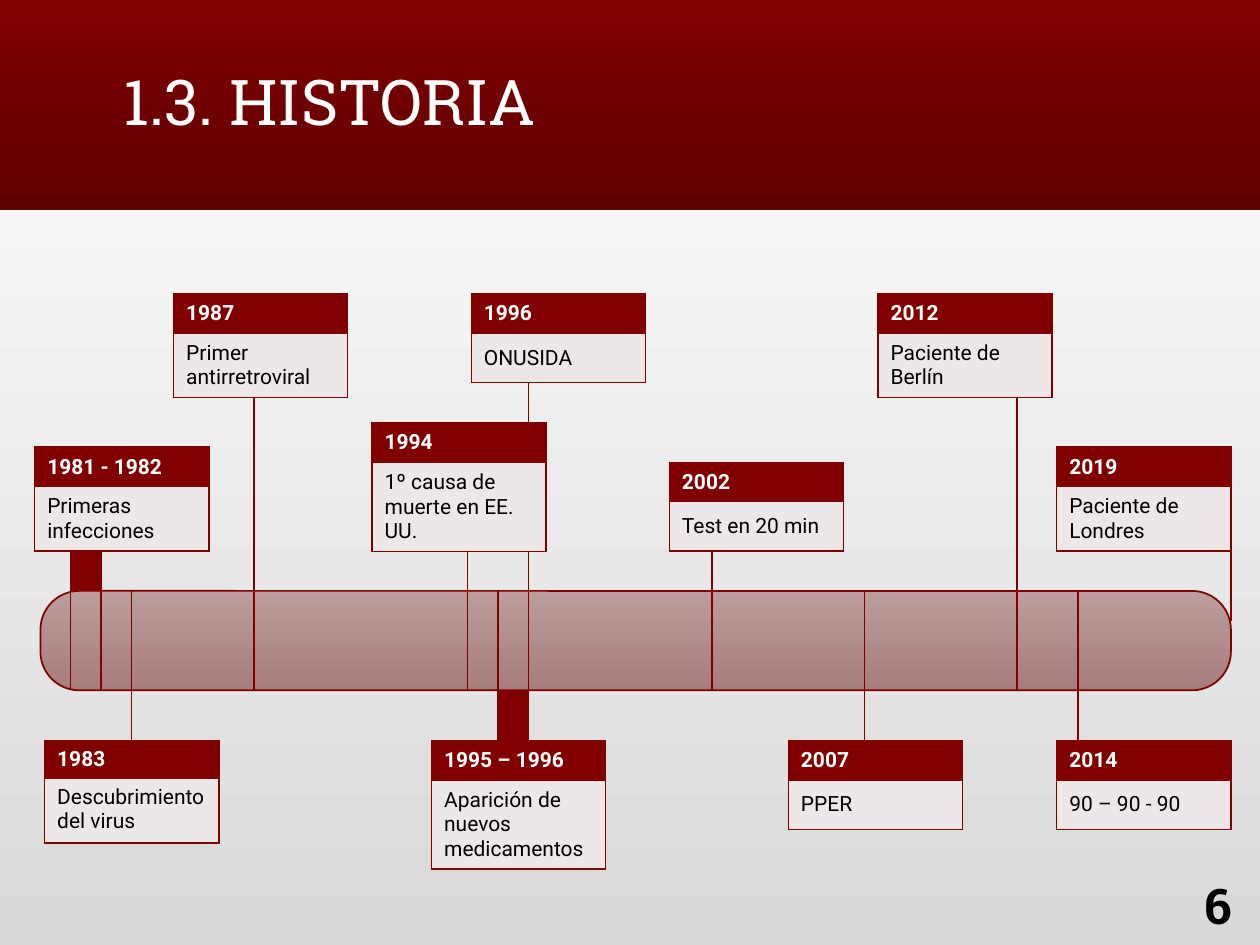
from lxml import etree
from pptx import Presentation
from pptx.dml.color import RGBColor
from pptx.enum.shapes import MSO_CONNECTOR, MSO_SHAPE
from pptx.enum.text import MSO_ANCHOR, MSO_AUTO_SIZE, PP_ALIGN
from pptx.oxml.ns import qn
from pptx.util import Pt

RECTANGLE, ROUNDED = MSO_SHAPE.RECTANGLE, MSO_SHAPE.ROUNDED_RECTANGLE
STRAIGHT = MSO_CONNECTOR.STRAIGHT
TOP, MIDDLE = MSO_ANCHOR.TOP, MSO_ANCHOR.MIDDLE
LEFT, CENTER = PP_ALIGN.LEFT, PP_ALIGN.CENTER
NO_AUTOSIZE = MSO_AUTO_SIZE.NONE

COLORS = {
    "maroon": "800000", "deep": "600000", "card": "EDE7E7",
    "bar_top": "BD9D9D", "bar_bottom": "A77C7C",
    "white": "FFFFFF", "black": "000000", "grey": "D9D9D9",
}
TITLE_FONT = {"name": "Roboto Slab", "size": Pt(36), "bold": False}
NUMBER_FONT = {"name": "Roboto Slab", "size": Pt(28), "bold": True}
YEAR_FONT = {"name": "Roboto", "size": Pt(12), "bold": True}
EVENT_FONT = {"name": "Roboto", "size": Pt(12), "bold": False}

FIRST_YEAR, FIRST_X, YEAR_STEP = 1981, 40.3, 17.45
BAR = (23.1, 337.7, 680.3, 56.8)
BAR_TOP, BAR_BOTTOM = BAR[1], BAR[1] + BAR[3]
CARD_WIDTH, HEAD = 99.5, 22.5
LOW_Y, LOW_END = 423.2, 451.4
ONE_LINE, TWO_LINES, THREE_LINES = 28.3, 36.9, 51

PERIODS = [(1981, 315.4), (1995, 383)]
TICKS = [
    (1996, 190.8, LOW_END), (2012, 218.9, BAR_BOTTOM), (2019, 270, 355),
    (1982, 281.5, BAR_BOTTOM), (1994, 281.5, BAR_BOTTOM),
    (2002, 281.5, BAR_BOTTOM), (2014, BAR_TOP, LOW_END),
    (1981, 281.5, BAR_BOTTOM), (1983, BAR_TOP, LOW_END),
    (1987, 207.4, BAR_BOTTOM), (1995, BAR_TOP, LOW_END),
    (2007, BAR_TOP, LOW_END),
]
CARDS = [
    ("1981 - 1982", "Primeras infecciones", 19.8, 255.5, HEAD, TWO_LINES, MIDDLE),
    ("1983", "Descubrimiento del virus", 25.5, LOW_Y, 20.4, TWO_LINES, TOP),
    ("2019", "Paciente de Londres", 603.8, 255.5, HEAD, TWO_LINES, MIDDLE),
    ("1987", "Primer antirretroviral", 99.2, 167.8, HEAD, TWO_LINES, MIDDLE),
    ("1994", "1º causa de muerte en EE. UU.", 212.6, 241.6, HEAD, THREE_LINES, MIDDLE),
    ("1995 – 1996", "Aparición de nuevos medicamentos", 246.6, LOW_Y, HEAD, THREE_LINES, MIDDLE),
    ("1996", "ONUSIDA", 269.3, 167.8, HEAD, ONE_LINE, MIDDLE),
    ("2002", "Test en 20 min", 382.5, 264.2, HEAD, ONE_LINE, MIDDLE),
    ("2007", "PPER", 450.5, LOW_Y, HEAD, ONE_LINE, MIDDLE),
    ("2012", "Paciente de Berlín", 501.7, 167.8, HEAD, TWO_LINES, MIDDLE),
    ("2014", "90 – 90 - 90", 603.8, LOW_Y, HEAD, ONE_LINE, MIDDLE),
]


def rgb(name):
    """Return the named colour."""
    return RGBColor.from_string(COLORS[name])


def points(box):
    """Turn a box of plain numbers into lengths."""
    return [Pt(value) for value in box]


def year_x(year):
    """Return the horizontal place of a year on the time scale."""
    return FIRST_X + (year - FIRST_YEAR) * YEAR_STEP


def fill_gradient(fill, names, angle):
    """Fill with a linear gradient between two colours."""
    fill.gradient()
    fill.gradient_angle = angle
    for stop, name in zip(fill.gradient_stops, names):
        stop.color.rgb = rgb(name)


def write(frame, text, font, color, align=LEFT):
    """Put one formatted line of text in a frame and return its paragraph."""
    para = frame.paragraphs[0]
    para.alignment = align
    span = para.add_run()
    span.text = text
    for key, value in font.items():
        setattr(span.font, key, value)
    span.font.color.rgb = rgb(color)
    return para


def add_plain_shape(page, kind, box):
    """Add a shape with neither shadow nor outline."""
    shape = page.shapes.add_shape(kind, *points(box))
    shape.shadow.inherit = False
    shape.line.fill.background()
    return shape


def add_header(page, box, text):
    """Draw the top band and set the title on it."""
    left, top, width, height = box
    band = add_plain_shape(page, RECTANGLE, box)
    fill_gradient(band.fill, ("maroon", "deep"), 270)
    title = page.shapes.title
    band._element.addnext(title._element)
    title.left, title.top, title.width, title.height = points(
        (left + 63.4, top + 7.9, width - 126, height - 15.8))
    frame = title.text_frame
    frame.auto_size = NO_AUTOSIZE
    frame.vertical_anchor = MIDDLE
    write(frame, text, TITLE_FONT, "white").line_spacing = 0.9


def add_page_number(page, box, text):
    """Write the page number."""
    frame = page.shapes.add_textbox(*points(box)).text_frame
    frame.word_wrap = True
    write(frame, text, NUMBER_FONT, "black", CENTER)


def add_tick(page, year, top, bottom):
    """Draw the vertical line that marks a year."""
    x = year_x(year)
    tick = page.shapes.add_connector(STRAIGHT, *points((x, top, x, bottom)))
    tick.line.color.rgb = rgb("maroon")
    tick.line.width = Pt(1)
    etree.SubElement(tick._element.spPr, qn("a:effectLst"))


def add_timeline(page, box):
    """Draw the periods, the bar and the year marks."""
    for year, top in PERIODS:
        period = add_plain_shape(page, RECTANGLE, (year_x(year), top, YEAR_STEP, 51))
        period.fill.solid()
        period.fill.fore_color.rgb = rgb("maroon")
    bar = add_plain_shape(page, ROUNDED, box)
    bar.adjustments[0] = 0.39
    fill_gradient(bar.fill, ("bar_top", "bar_bottom"), 270)
    bar.line.color.rgb = rgb("maroon")
    bar.line.width = Pt(1)
    for tick in TICKS:
        add_tick(page, *tick)


def add_borders(cell):
    """Line all four sides of a table cell."""
    properties = cell._tc.get_or_add_tcPr()
    for side in ("lnL", "lnR", "lnT", "lnB"):
        line = etree.SubElement(properties, qn("a:" + side), w=str(Pt(1)))
        solid = etree.SubElement(line, qn("a:solidFill"))
        etree.SubElement(solid, qn("a:srgbClr"), val=COLORS["maroon"])


def add_card(page, year, event, left, top, head, body, anchor):
    """Add a two-row table with a year above its event."""
    box = points((left, top, CARD_WIDTH, head + body))
    table = page.shapes.add_table(2, 1, *box).table
    table.first_row = table.horz_banding = False
    rows = [
        (year, head, YEAR_FONT, "white", "maroon"),
        (event, body, EVENT_FONT, "black", "card"),
    ]
    for index, (text, height, font, color, back) in enumerate(rows):
        table.rows[index].height = Pt(height)
        cell = table.cell(index, 0)
        add_borders(cell)
        cell.fill.solid()
        cell.fill.fore_color.rgb = rgb(back)
        cell.vertical_anchor = anchor
        write(cell.text_frame, text, font, color)


def main():
    """Build the history slide and save it."""
    deck = Presentation()
    deck.slide_width, deck.slide_height = Pt(720), Pt(540)
    page = deck.slides.add_slide(deck.slide_layouts[5])
    fill_gradient(page.background.fill, ("grey", "white"), 90)
    add_header(page, (0, 0, 720, 120), "1.3. HISTORIA")
    add_page_number(page, (671.8, 496.8, 48.2, 41), "6")
    add_timeline(page, BAR)
    for card in CARDS:
        add_card(page, *card)
    deck.save("out.pptx")


if __name__ == "__main__":
    main()
